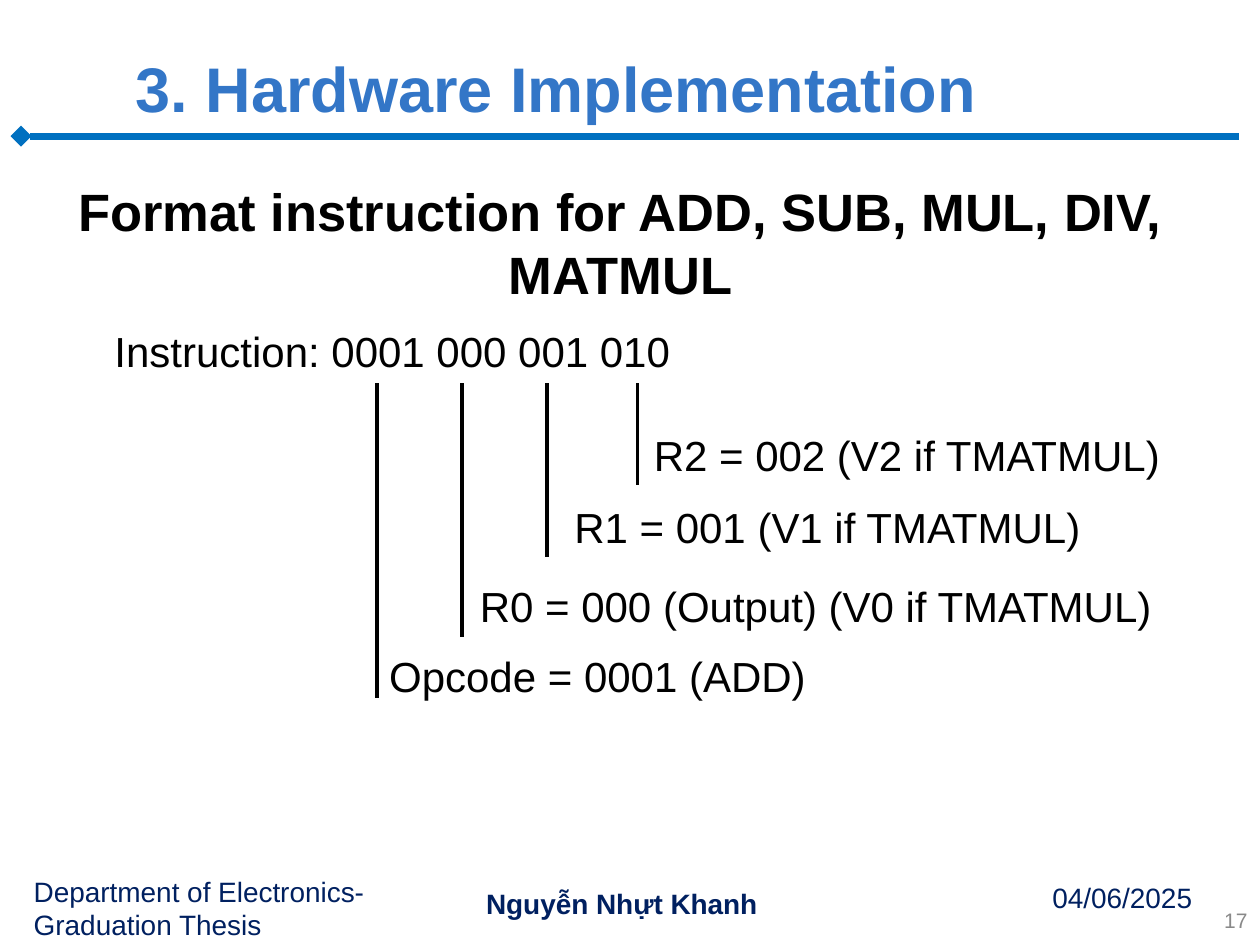
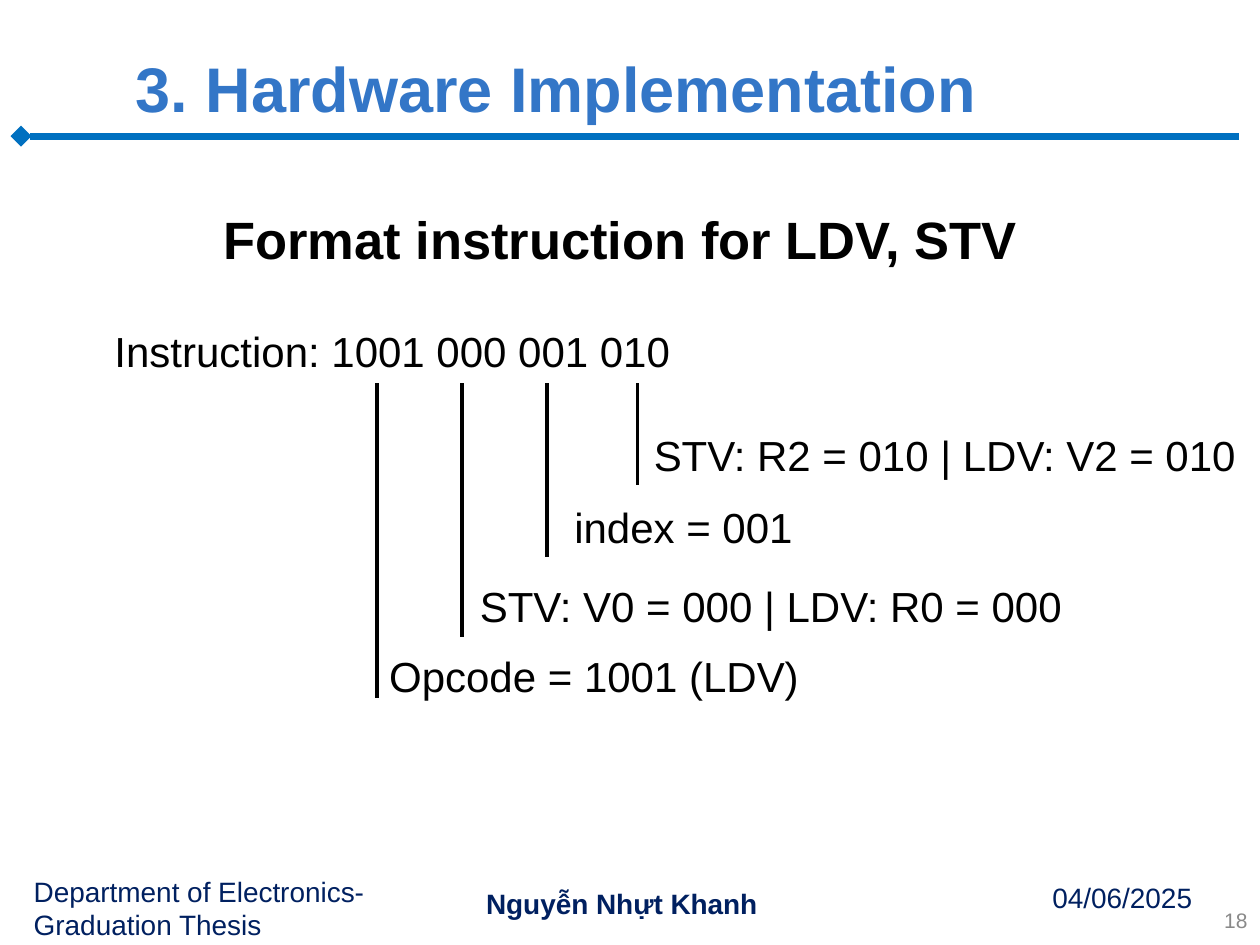
from pptx import Presentation
from pptx.dml.color import RGBColor
from pptx.enum.shapes import MSO_CONNECTOR
from pptx.enum.text import MSO_ANCHOR, PP_ALIGN
from pptx.oxml import parse_xml
from pptx.oxml.ns import nsdecls
from pptx.util import Pt

FONT = "Arial"
BLACK, NAVY, BLUE, RULE, GREY = "000000", "002060", "3376C7", "0070C0", "898989"
FIELD_TOP = 218.9
FIELDS = [
    (215.3, 398.9, 215.3, 367.9, 332),
    (264.2, 364.3, 267.1, 328.3, 463.7),
    (312.5, 318.2, 321.1, 283, 332),
    (364.3, 277.2, 366.5, 241.9, 353.5),
]
SLIDES = [
    (17, "Format instruction for ADD, SUB, MUL, DIV, MATMUL", 98.6, 79.9,
     "0001 000 001 010",
     ["Opcode = 0001 (ADD)", "R0 = 000 (Output) (V0 if TMATMUL)",
      "R1 = 001 (V1 if TMATMUL)", "R2 = 002 (V2 if TMATMUL)"]),
    (18, "Format instruction for LDV, STV", 114.5, 43.9,
     "1001 000 001 010",
     ["Opcode = 1001 (LDV)", "STV: V0 = 000 | LDV: R0 = 000",
      "index = 001", "STV: R2 = 010 | LDV: V2 = 010"]),
]


def rgb(color):
    return RGBColor.from_string(color)


def write(tf, text, size=24, color=BLACK, bold=False, align=PP_ALIGN.LEFT, shadow=False):
    p = tf.paragraphs[0]
    p.alignment = align
    r = p.add_run()
    r.text = text
    r.font.name = FONT
    r.font.size = Pt(size)
    r.font.bold = bold
    r.font.color.rgb = rgb(color)
    if shadow:
        fill = r.font.color.rgb and r._r.rPr.find(
            "{http://schemas.openxmlformats.org/drawingml/2006/main}solidFill")
        fill.addnext(parse_xml(
            f'<a:effectLst {nsdecls("a")}><a:outerShdw blurRad="38100" dist="38100" '
            'dir="2700000" algn="tl"><a:srgbClr val="000000"><a:alpha val="43000"/>'
            '</a:srgbClr></a:outerShdw></a:effectLst>'))


class Deck:
    def __init__(self):
        self.prs = Presentation()
        self.prs.slide_width, self.prs.slide_height = Pt(720), Pt(540)
        self.s = None

    def text(self, text, x, y, w, h, anchor=MSO_ANCHOR.TOP, **style):
        sp = self.s.shapes.add_textbox(Pt(x), Pt(y), Pt(w), Pt(h))
        tf = sp.text_frame
        tf.word_wrap = True
        tf.vertical_anchor = anchor
        write(tf, text, **style)

    def line(self, x1, y1, x2, y2, color=BLACK, width=2.25, head=None):
        c = self.s.shapes.add_connector(
            MSO_CONNECTOR.STRAIGHT, Pt(x1), Pt(y1), Pt(x2), Pt(y2))
        c.line.color.rgb = rgb(color)
        c.line.width = Pt(width)
        if head:
            c.line._get_or_add_ln().append(
                parse_xml(f'<a:headEnd {nsdecls("a")} type="{head}"/>'))
        c._element.spPr.append(parse_xml(f'<a:effectLst {nsdecls("a")}/>'))

    def footer(self, text, x, y, w, h, **style):
        self.text(text, x, y, w, h, size=16, color=NAVY, shadow=True, **style)

    def slide(self, number):
        self.s = self.prs.slides.add_slide(self.prs.slide_layouts[6])
        self.footer("Nguyễn Nhựt Khanh", 270.7, 503.3, 177.8, 26.6, bold=True)
        self.line(12, 77.8, 708, 77.8, color=RULE, width=4, head="diamond")
        self.footer("Department of Electronics-Graduation Thesis", 12.2, 496, 246.2, 46)
        self.footer("04/06/2025", 472.3, 499.7, 216, 26.6, align=PP_ALIGN.RIGHT)
        self.text("3. Hardware Implementation", 70.6, 23, 649.4, 53.3,
                  anchor=MSO_ANCHOR.MIDDLE, size=36, color=BLUE, bold=True)
        self.text(str(number), 552.2, 511.2, 167.8, 28.8, anchor=MSO_ANCHOR.MIDDLE,
                  size=12, color=GREY, align=PP_ALIGN.RIGHT)

    def instruction(self, bits, labels):
        self.text(f"Instruction: {bits}", 58.3, 182.2, 660.2, 36)
        for label, (line_x, bottom, x, y, w) in zip(labels, FIELDS):
            self.text(label, x, y, w, 36)
            self.line(line_x, FIELD_TOP, line_x, bottom)


def main():
    deck = Deck()
    for number, heading, top, height, bits, labels in SLIDES:
        deck.slide(number)
        deck.text(heading, 24.5, top, 660.2, height,
                  size=30, bold=True, align=PP_ALIGN.CENTER)
        deck.instruction(bits, labels)
    deck.prs.save("out.pptx")


if __name__ == "__main__":
    main()
